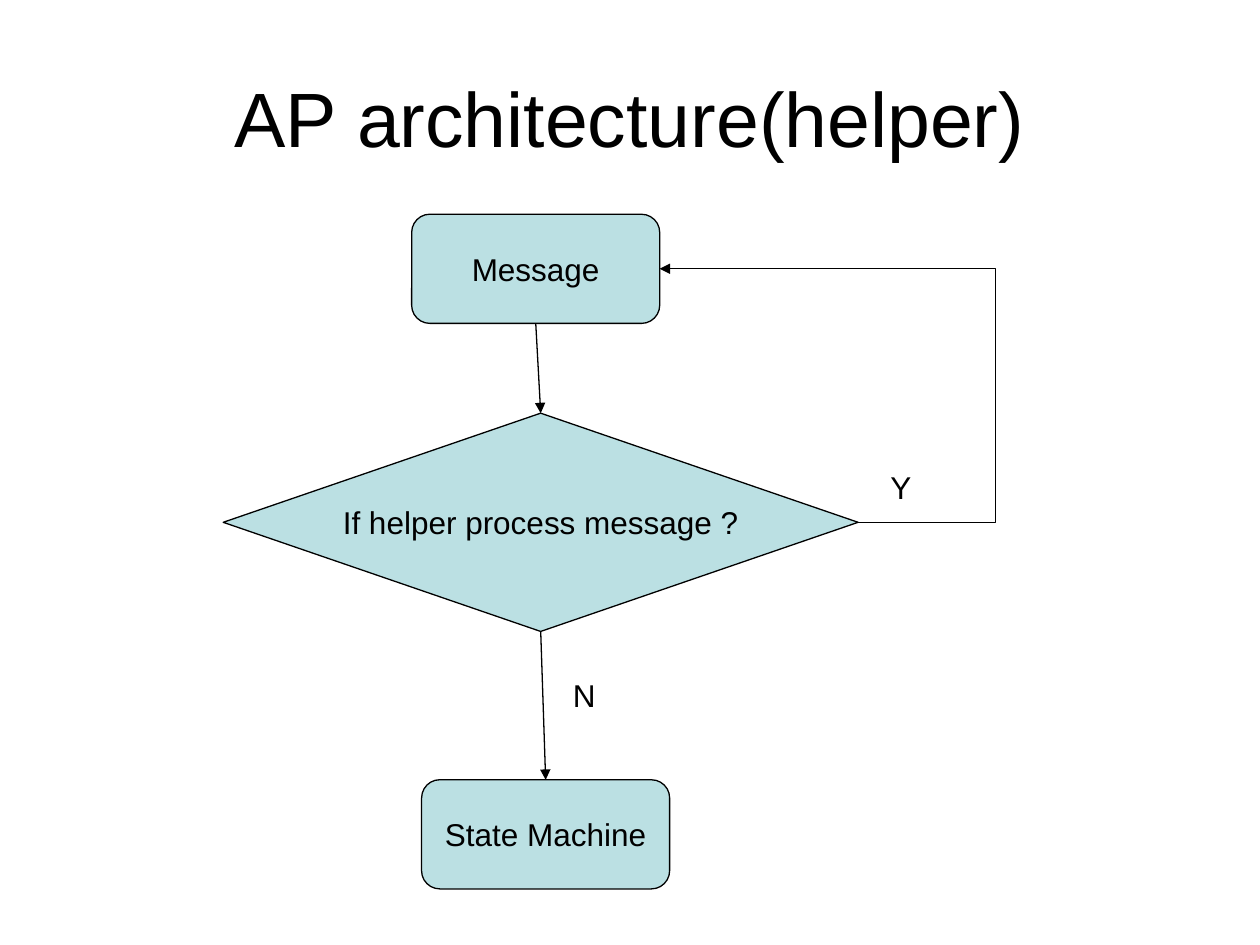
from dataclasses import dataclass

from lxml import etree
from pptx import Presentation
from pptx.dml.color import RGBColor
from pptx.enum.shapes import MSO_CONNECTOR as Link, MSO_SHAPE as Shape
from pptx.enum.text import MSO_ANCHOR as Anchor, PP_ALIGN as Align
from pptx.oxml.ns import qn
from pptx.util import Cm, Pt


@dataclass(frozen=True)
class Theme:
    font: str = "Arial"
    ink: RGBColor = RGBColor(0, 0, 0)
    fill: RGBColor = RGBColor(0xBB, 0xE0, 0xE3)
    title: int = 44
    body: int = 18
    line: float = 0.75


def write(tf, text, *, font, size, color, align=Align.LEFT, anchor=Anchor.TOP, wrap=True):
    tf.word_wrap = wrap
    tf.vertical_anchor = anchor
    p = tf.paragraphs[0]
    p.alignment = align
    r = p.add_run()
    r.text = text
    r.font.name = font
    r.font.size = Pt(size)
    r.font.color.rgb = color


class FlowSlide:
    def __init__(self, slide, theme):
        self.s = slide
        self.theme = theme

    def text(self, text, x, y, w, h, size=None, **fmt):
        t = self.theme
        box = self.s.shapes.add_textbox(Cm(x), Cm(y), Cm(w), Cm(h))
        write(box.text_frame, text, font=t.font, size=size or t.body, color=t.ink, **fmt)

    def node(self, kind, text, x, y, w, h):
        t = self.theme
        sp = self.s.shapes.add_shape(kind, Cm(x), Cm(y), Cm(w), Cm(h))
        sp.shadow.inherit = False
        sp.fill.solid()
        sp.fill.fore_color.rgb = t.fill
        sp.line.color.rgb = t.ink
        sp.line.width = Pt(t.line)
        write(sp.text_frame, text, font=t.font, size=t.body, color=t.ink,
              align=Align.CENTER, anchor=Anchor.MIDDLE, wrap=False)
        return sp

    def _arrow(self, kind, x1, y1, x2, y2):
        cx = self.s.shapes.add_connector(kind, x1, y1, x2, y2)
        cx.line.color.rgb = self.theme.ink
        cx.line.width = Pt(self.theme.line)
        etree.SubElement(cx.line._get_or_add_ln(), qn("a:tailEnd"), type="triangle")
        etree.SubElement(cx._element.spPr, qn("a:effectLst"))
        return cx

    def down(self, upper, lower):
        cx = self._arrow(Link.STRAIGHT, 0, 0, 0, 0)
        cx.begin_connect(upper, 2)
        cx.end_connect(lower, 0)

    def loop_back(self, start, end, bend):
        x1, x2 = (sp.left + sp.width for sp in (start, end))
        y1, y2 = (sp.top + sp.height // 2 for sp in (start, end))
        cx = self._arrow(Link.ELBOW, x1, y1, x2, y2)
        adj = round((Cm(bend) - x1) / (x2 - x1) * 100000)
        guides = cx._element.spPr.find(qn("a:prstGeom")).get_or_add_avLst()
        etree.SubElement(guides, qn("a:gd"), name="adj1", fmla=f"val {adj}")


def main():
    prs = Presentation()
    prs.slide_width, prs.slide_height = Cm(25.4), Cm(19.05)
    theme = Theme()
    flow = FlowSlide(prs.slides.add_slide(prs.slide_layouts[6]), theme)

    flow.text("AP architecture(helper)", 1.27, 0.76, 22.86, 3.18, size=theme.title,
              align=Align.CENTER, anchor=Anchor.MIDDLE)
    message = flow.node(Shape.FLOWCHART_ALTERNATE_PROCESS, "Message", 8.3, 4.32, 5, 2.2)
    decision = flow.node(Shape.FLOWCHART_DECISION, "If helper process message ?",
                         4.5, 8.33, 12.8, 4.4)
    machine = flow.node(Shape.FLOWCHART_ALTERNATE_PROCESS, "State Machine", 8.5, 15.72, 5, 2.2)

    flow.down(message, decision)
    flow.down(decision, machine)
    flow.loop_back(decision, message, bend=20.07)
    flow.text("N", 11.3, 13.51, 3.4, 1.02)
    flow.text("Y", 17.7, 9.32, 3.4, 1.02)

    prs.save("out.pptx")


if __name__ == "__main__":
    main()
